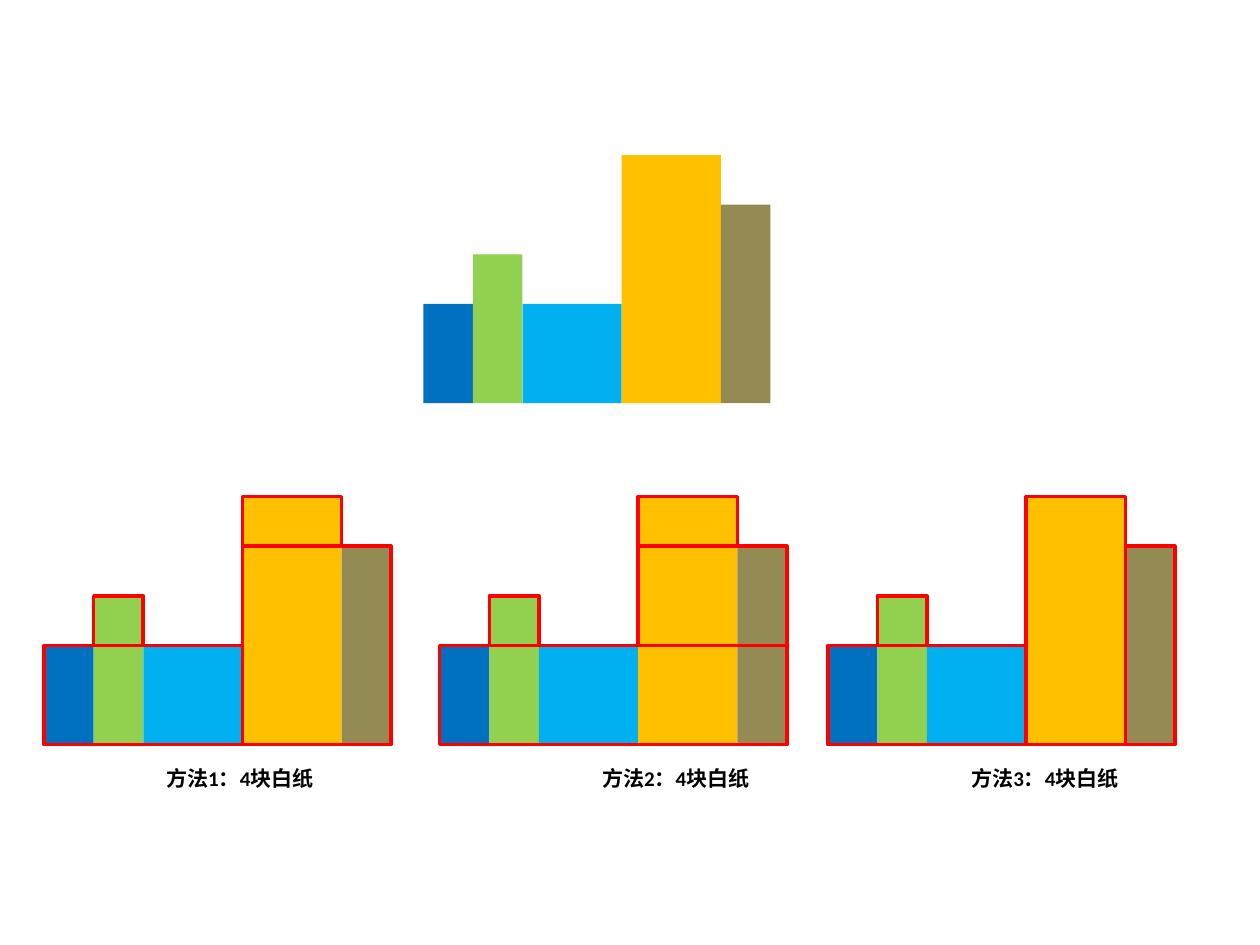
from pptx import Presentation
from pptx.dml.color import RGBColor as RGB
from pptx.enum.shapes import MSO_SHAPE as Shape
from pptx.enum.text import MSO_AUTO_SIZE as AutoSize
from pptx.util import Inches, Pt

BLUE = RGB(0x00, 0x70, 0xC0)
GREEN = RGB(0x92, 0xD0, 0x50)
SKY = RGB(0x00, 0xB0, 0xF0)
GOLD = RGB(0xFF, 0xC0, 0x00)
OLIVE = RGB(0x94, 0x8A, 0x54)
RED = RGB(0xFF, 0x00, 0x00)
BLACK = RGB(0x00, 0x00, 0x00)

UNIT = 1 / 2.54  # one grid square is a centimetre wide

# Width and height in grid squares, from left to right
BARS = [(1, 2, BLUE), (1, 3, GREEN), (2, 2, SKY), (2, 5, GOLD), (1, 4, OLIVE)]

# Paper pieces in grid squares: column, bottom row, width, height
GREEN_TOP = (1, 2, 1, 1)
GOLD_TOP = (4, 4, 2, 1)
LEFT_BASE = (0, 0, 4, 2)

METHOD_BASELINE = 5.91
LABEL_TOP = 6.03
# Text, left edge of the figure, left edge and width of the label, pieces
METHODS = [
    ("方法1：4块白纸", 0.35, 1.22, 1.71,
     [GREEN_TOP, GOLD_TOP, (4, 0, 3, 4), LEFT_BASE]),
    ("方法2：4块白纸", 3.49, 4.68, 1.82,
     [GREEN_TOP, GOLD_TOP, (4, 2, 3, 2), (0, 0, 7, 2)]),
    ("方法3：4块白纸", 6.57, 7.61, 1.71,
     [GREEN_TOP, (4, 0, 2, 5), (6, 0, 1, 4), LEFT_BASE]),
]


def add_block(shapes, left, baseline, cells, fill=None, line=None):
    """Draw a rectangle given in grid squares, counted up from the baseline."""
    column, row, width, height = cells
    block = shapes.add_shape(
        Shape.RECTANGLE,
        Inches(left + column * UNIT), Inches(baseline - (row + height) * UNIT),
        Inches(width * UNIT), Inches(height * UNIT))
    block.shadow.inherit = False
    if fill is None:
        block.fill.background()
    else:
        block.fill.solid()
        block.fill.fore_color.rgb = fill
    if line is None:
        block.line.fill.background()
    else:
        block.line.color.rgb = line
        block.line.width = Pt(2)


def add_text(shapes, text, left, top, width, height,
             size=12, bold=True, color=BLACK, font="Calibri"):
    frame = shapes.add_textbox(Inches(left), Inches(top),
                               Inches(width), Inches(height)).text_frame
    frame.word_wrap = True
    frame.auto_size = AutoSize.SHAPE_TO_FIT_TEXT
    run = frame.paragraphs[0].add_run()
    run.text = text
    run.font.name = font
    run.font.size = Pt(size)
    run.font.bold = bold
    run.font.color.rgb = color


def add_figure(slide, left, baseline, pieces=()):
    """Group the five coloured bars with the red outlines of the pieces."""
    shapes = slide.shapes.add_group_shape().shapes
    column = 0
    for width, height, color in BARS:
        add_block(shapes, left, baseline, (column, 0, width, height), fill=color)
        column += width
    for piece in pieces:
        add_block(shapes, left, baseline, piece, line=RED)


def main():
    prs = Presentation()
    prs.slide_width, prs.slide_height = Inches(10), Inches(7.5)
    slide = prs.slides.add_slide(prs.slide_layouts[6])
    add_figure(slide, 3.36, 3.2)
    for text, left, label_left, label_width, pieces in METHODS:
        add_figure(slide, left, METHOD_BASELINE, pieces)
        add_text(slide.shapes, text, label_left, LABEL_TOP, label_width, 0.3)
    prs.save("out.pptx")


if __name__ == "__main__":
    main()
